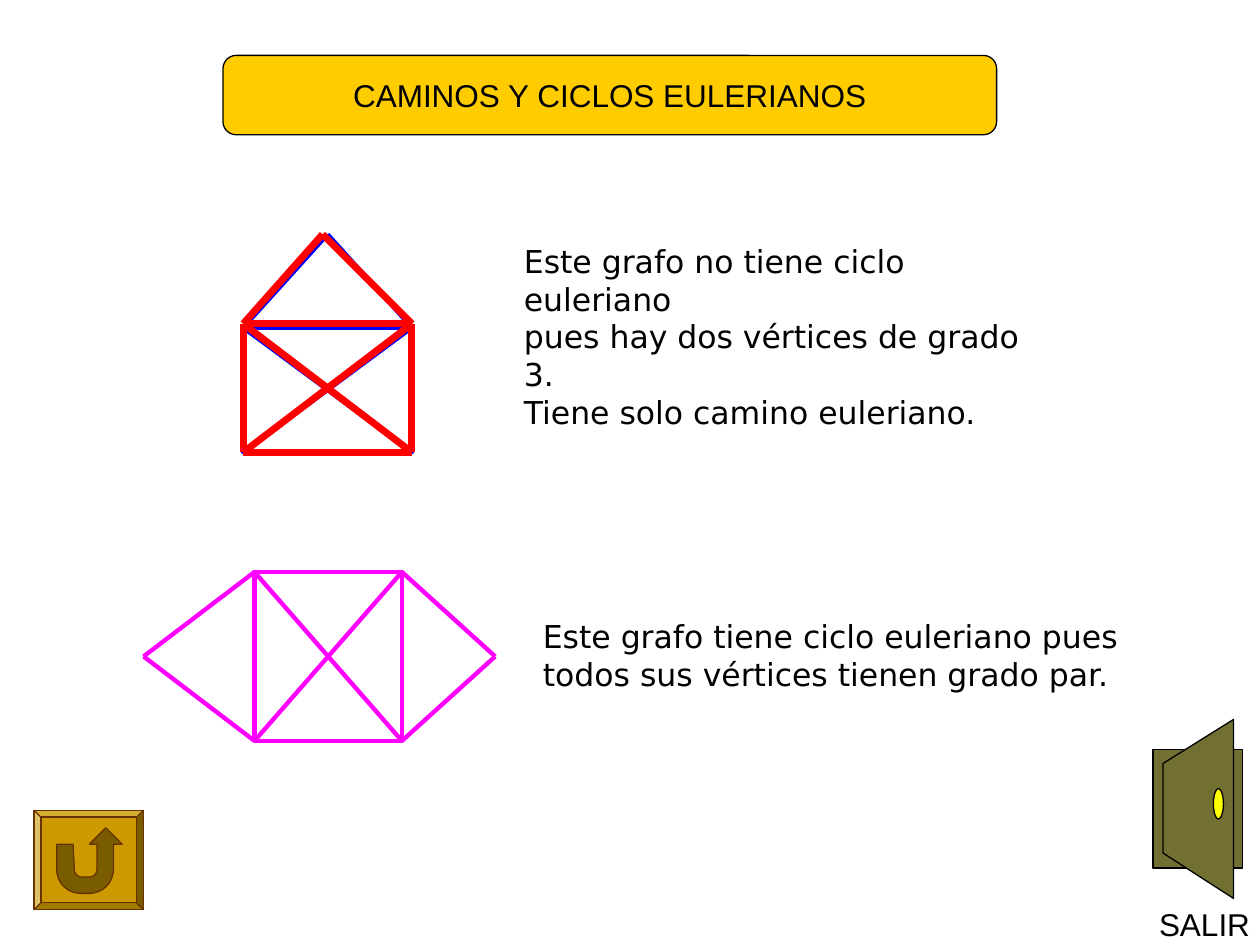
from dataclasses import dataclass
from math import cos, pi, sin

from lxml.etree import SubElement
from pptx import Presentation
from pptx.dml.color import RGBColor as Rgb
from pptx.enum.shapes import MSO_CONNECTOR as Link, MSO_SHAPE as Kind
from pptx.enum.text import MSO_ANCHOR as Anchor, PP_ALIGN as Align
from pptx.oxml.ns import qn
from pptx.util import Inches, Pt

COLS, ROWS = 100, 75


@dataclass
class Theme:
    ink: str = "000000"
    gold: str = "FFCC00"
    olive: str = "726F32"
    knob: str = "FFFF00"
    brass: str = "CC9900"
    dark: str = "7A5C00"
    rim: str = "663300"
    blue: str = "0000FF"
    pink: str = "FF00FF"
    red: str = "FF0000"
    sans: str = "Arial"
    body: str = "DejaVu Sans"
    size: float = 18
    thin: float = 0.75
    mid: float = 2.5
    bold: float = 4


class Board:
    """Draws on one slide, measured in grid columns and rows."""

    def __init__(self, deck, theme):
        self.theme = theme
        self.slide = deck.slides.add_slide(deck.slide_layouts[6])
        self.shapes = self.slide.shapes
        self.col = deck.slide_width / COLS
        self.row = deck.slide_height / ROWS

    def place(self, *nums):
        units = (self.col, self.row) * 2
        return [round(n * u) for n, u in zip(nums, units)]

    def paint(self, item, fill, line, width):
        item.shadow.inherit = False
        if fill:
            item.fill.solid()
            item.fill.fore_color.rgb = Rgb.from_string(fill)
        else:
            item.fill.background()
        item.line.color.rgb = Rgb.from_string(line)
        item.line.width = Pt(width)
        return item

    def shape(self, kind, box, fill, line=None, width=None):
        item = self.shapes.add_shape(kind, *self.place(*box))
        return self.paint(item, fill, line or self.theme.ink,
                          width or self.theme.thin)

    def outline(self, dots, fill, line=None):
        first, *rest = [self.place(*dot) for dot in dots]
        form = self.shapes.build_freeform(*first)
        form.add_line_segments(rest, close=True)
        return self.paint(form.convert_to_shape(), fill,
                          line or self.theme.ink, self.theme.thin)

    def edge(self, start, end, color, width):
        item = self.shapes.add_connector(
            Link.STRAIGHT, *self.place(*start), *self.place(*end))
        item.line.color.rgb = Rgb.from_string(color)
        item.line.width = Pt(width)
        SubElement(item._element.spPr, qn("a:effectLst"))

    def graph(self, nodes, edges, color, width):
        for a, b in edges.split():
            self.edge(nodes[a], nodes[b], color, width)

    def label(self, item, lines, font, align=Align.LEFT,
              anchor=Anchor.MIDDLE, wrap=True):
        frame = item.text_frame
        look = {"word_wrap": wrap, "vertical_anchor": anchor}
        for name, value in look.items():
            setattr(frame, name, value)
        frame.text = "\n".join(lines)
        for para in frame.paragraphs:
            para.alignment = align
            style = {"name": font, "size": Pt(self.theme.size)}
            for name, value in style.items():
                setattr(para.font, name, value)
            para.font.color.rgb = Rgb.from_string(self.theme.ink)

    def text(self, box, lines, font, **look):
        item = self.shapes.add_textbox(*self.place(*box))
        self.label(item, lines, font, **look)


def arc(x, y, rad, start, end, steps=12):
    """Points on a circle, with angles in half turns."""
    turns = [pi * (start + (end - start) * i / steps)
             for i in range(steps + 1)]
    return [(x + rad * cos(t), y + rad * sin(t)) for t in turns]


def main():
    deck = Presentation()
    deck.slide_width, deck.slide_height = Inches(10), Inches(7.5)
    theme = Theme()
    board = Board(deck, theme)

    # Exit door
    board.shape(Kind.RECTANGLE, (91.5, 59.5, 7.1, 9.4), theme.olive)
    board.outline([(97.9, 57.1), (97.9, 71.3), (92.3, 67.7), (92.3, 60.6)],
                  theme.olive)
    board.shape(Kind.OVAL, (96.3, 62.6, 0.8, 2.4), theme.knob)
    board.text((91, 71.3, 9.2, 4), ["SALIR"], theme.sans,
               anchor=Anchor.TOP, wrap=False)

    # Return button: bevel and U-turn arrow
    bevel = board.shape(Kind.BEVEL, (2.7, 64.3, 8.7, 7.9),
                        theme.brass, theme.rim)
    bevel.adjustments[0] = 0.07
    inner = arc(6.5, 69, 0.6, 1, 0.5) + arc(7.1, 69, 0.6, 0.5, 0)
    outer = arc(7.1, 69, 1.9, 0, 0.5) + arc(6.4, 69, 1.9, 0.5, 1)
    head = [(7.7, 67), (7.1, 67), (8.4, 65.7), (9.7, 67), (9, 67)]
    board.outline([(4.5, 67), (5.8, 67)] + inner + head + outer,
                  theme.dark, theme.rim)

    # Title
    title = board.shape(Kind.ROUNDED_RECTANGLE, (17.7, 4.4, 61.4, 6.3),
                        theme.gold)
    board.label(title, ["CAMINOS Y CICLOS EULERIANOS"], theme.sans,
                align=Align.CENTER, wrap=False)

    # House graph: corners a b c d, roof e
    left, right, base = 19.3, 32.7, 35.9

    def house(top, peak):
        return {"a": (left, top), "b": (right, top), "c": (right, base),
                "d": (left, base), "e": (peak, 18.6)}

    board.shape(Kind.RECTANGLE, (left, 26, right - left, base - 26),
                None, theme.blue, theme.mid)
    board.graph(house(26, 26), "db ac ae eb", theme.blue, theme.mid)

    # Kite graph: square a b c d, tips e f
    west, east, north, south = 20.2, 31.9, 45.4, 58.8
    mid = (north + south) / 2
    kite = {"a": (west, north), "b": (east, north), "c": (east, south),
            "d": (west, south), "e": (11.4, mid), "f": (39.3, mid)}
    board.shape(Kind.RECTANGLE, (west, north, east - west, south - north),
                None, theme.pink, theme.mid)
    board.graph(kite, "ca db de ea bf fc", theme.pink, theme.mid)

    # Remarks
    board.text((42.1, 48.5, 47.8, 7),
               ["Este grafo tiene ciclo euleriano pues todos sus vértices "
                "tienen grado par."], theme.body)
    board.text((40.6, 21.7, 42.4, 10),
               ["Este grafo no tiene ciclo euleriano",
                "pues hay dos vértices de grado 3.",
                "Tiene solo camino euleriano."], theme.body)

    # Euler path over the house
    board.graph(house(25.7, 25.6), "bc eb ea ad bd ba ac cd",
                theme.red, theme.bold)

    deck.save("out.pptx")


if __name__ == "__main__":
    main()
